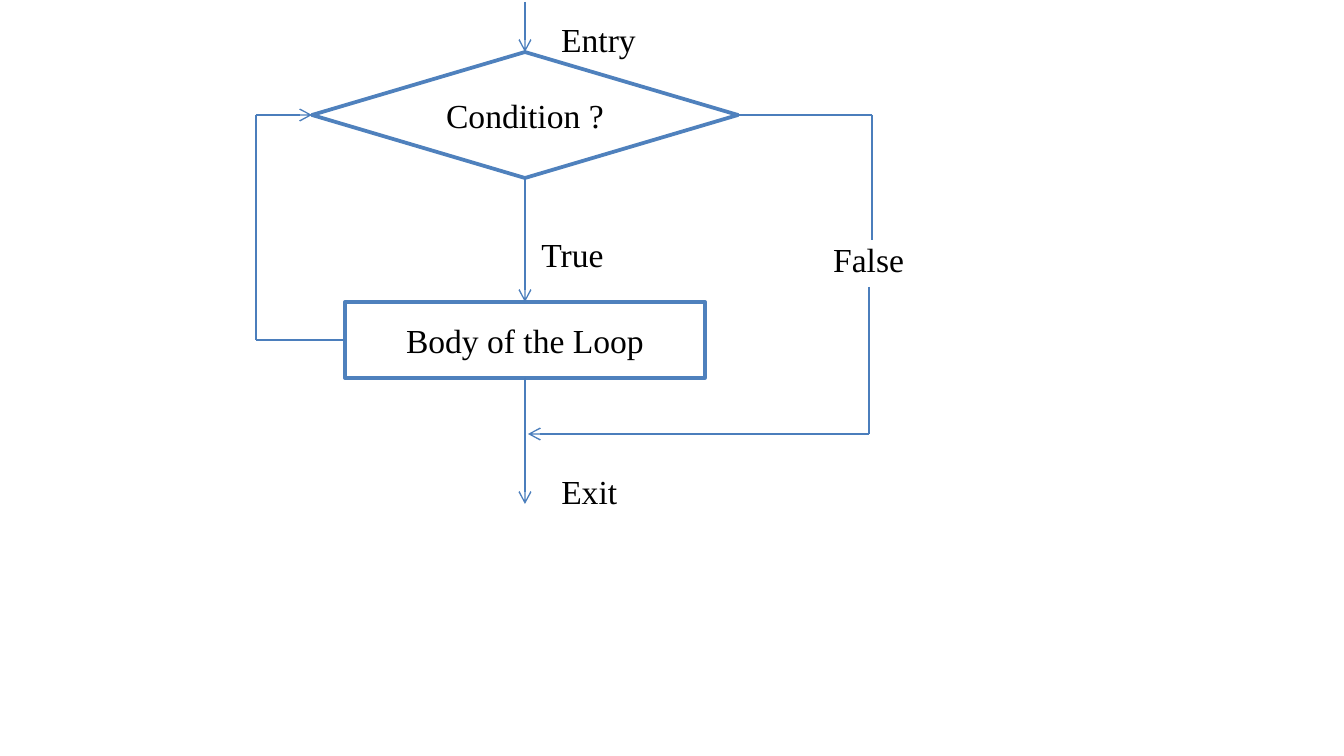
from lxml import etree
from pptx import Presentation
from pptx.dml.color import RGBColor
from pptx.enum.shapes import MSO_CONNECTOR, MSO_SHAPE
from pptx.enum.text import MSO_ANCHOR, MSO_AUTO_SIZE, PP_ALIGN
from pptx.oxml.ns import qn
from pptx.util import Emu, Pt

STRAIGHT = MSO_CONNECTOR.STRAIGHT
DECISION = MSO_SHAPE.FLOWCHART_DECISION
RECTANGLE = MSO_SHAPE.RECTANGLE
MIDDLE = MSO_ANCHOR.MIDDLE
CENTER = PP_ALIGN.CENTER
FIT_SHAPE = MSO_AUTO_SIZE.SHAPE_TO_FIT_TEXT

EMU_PER_PX = 914400 / 134.4
TOP, LEFT, BOTTOM, RIGHT = range(4)

AXIS_X = 525
LOOP_X = 256
FALSE_X, RETURN_X = 872, 869
CONDITION_Y, BODY_Y, RETURN_Y = 115, 340, 434


def px(length):
    return Emu(round(length * EMU_PER_PX))


def color(hex_string):
    return RGBColor.from_string(hex_string)


def set_text(shape, text):
    paragraph = shape.text_frame.paragraphs[0]
    paragraph.text = text
    font = paragraph.runs[0].font
    font.name = "Times New Roman"
    font.size = Pt(18)
    font.color.rgb = color("000000")
    return paragraph


def add_node(slide, kind, middle_y, width, height, text):
    """Add a flowchart box centred on the main axis."""
    shape = slide.shapes.add_shape(
        kind, px(AXIS_X - width / 2), px(middle_y - height / 2), px(width), px(height))
    shape.shadow.inherit = False
    shape.fill.solid()
    shape.fill.fore_color.rgb = color("FFFFFF")
    shape.line.color.rgb = color("4F81BD")
    shape.line.width = Pt(2)
    shape.text_frame.vertical_anchor = MIDDLE
    set_text(shape, text).alignment = CENTER
    return shape


def add_line(slide, start, end, arrow=False, begin=None, finish=None):
    """Draw a line; begin and finish are optional (node, side) joints."""
    connector = slide.shapes.add_connector(
        STRAIGHT, px(start[0]), px(start[1]), px(end[0]), px(end[1]))
    if begin:
        connector.begin_connect(*begin)
    if finish:
        connector.end_connect(*finish)
    connector.line.color.rgb = color("4B7EBC")
    connector.line.width = Pt(0.75)
    if arrow:
        line = connector.line._get_or_add_ln()
        etree.SubElement(line, qn("a:tailEnd"), type="arrow")
    etree.SubElement(connector._element.spPr, qn("a:effectLst"))


def add_label(slide, text, left, top, width):
    box = slide.shapes.add_textbox(px(left), px(top), px(width), px(54))
    box.text_frame.word_wrap = False
    box.text_frame.auto_size = FIT_SHAPE
    set_text(box, text)


def main():
    presentation = Presentation()
    presentation.slide_width = px(1344)
    presentation.slide_height = px(756)
    slide = presentation.slides.add_slide(presentation.slide_layouts[6])

    condition = add_node(slide, DECISION, CONDITION_Y, 426, 126, "Condition ?")
    body = add_node(slide, RECTANGLE, BODY_Y, 360, 76, "Body of the Loop")

    # Main path
    add_line(slide, (AXIS_X, 2), (AXIS_X, 52), True, finish=(condition, TOP))
    add_line(slide, (AXIS_X, 178), (AXIS_X, 302), True,
             begin=(condition, BOTTOM), finish=(body, TOP))
    add_line(slide, (AXIS_X, 378), (AXIS_X, 504), True, begin=(body, BOTTOM))

    # Loop back to the condition
    add_line(slide, (LOOP_X, BODY_Y), (345, BODY_Y), finish=(body, LEFT))
    add_line(slide, (LOOP_X, CONDITION_Y), (LOOP_X, BODY_Y))
    add_line(slide, (LOOP_X, CONDITION_Y), (312, CONDITION_Y), True,
             finish=(condition, LEFT))

    # False branch
    add_line(slide, (738, CONDITION_Y), (FALSE_X, CONDITION_Y),
             begin=(condition, RIGHT))
    add_line(slide, (FALSE_X, CONDITION_Y), (FALSE_X, 240))
    add_line(slide, (RETURN_X, 287), (RETURN_X, RETURN_Y))
    add_line(slide, (RETURN_X, RETURN_Y), (528, RETURN_Y), True)

    for label in (("Entry", 548, 12, 102), ("True", 528, 227, 90),
                  ("False", 820, 232, 98), ("Exit", 548, 464, 83)):
        add_label(slide, *label)

    presentation.save("out.pptx")


if __name__ == "__main__":
    main()
